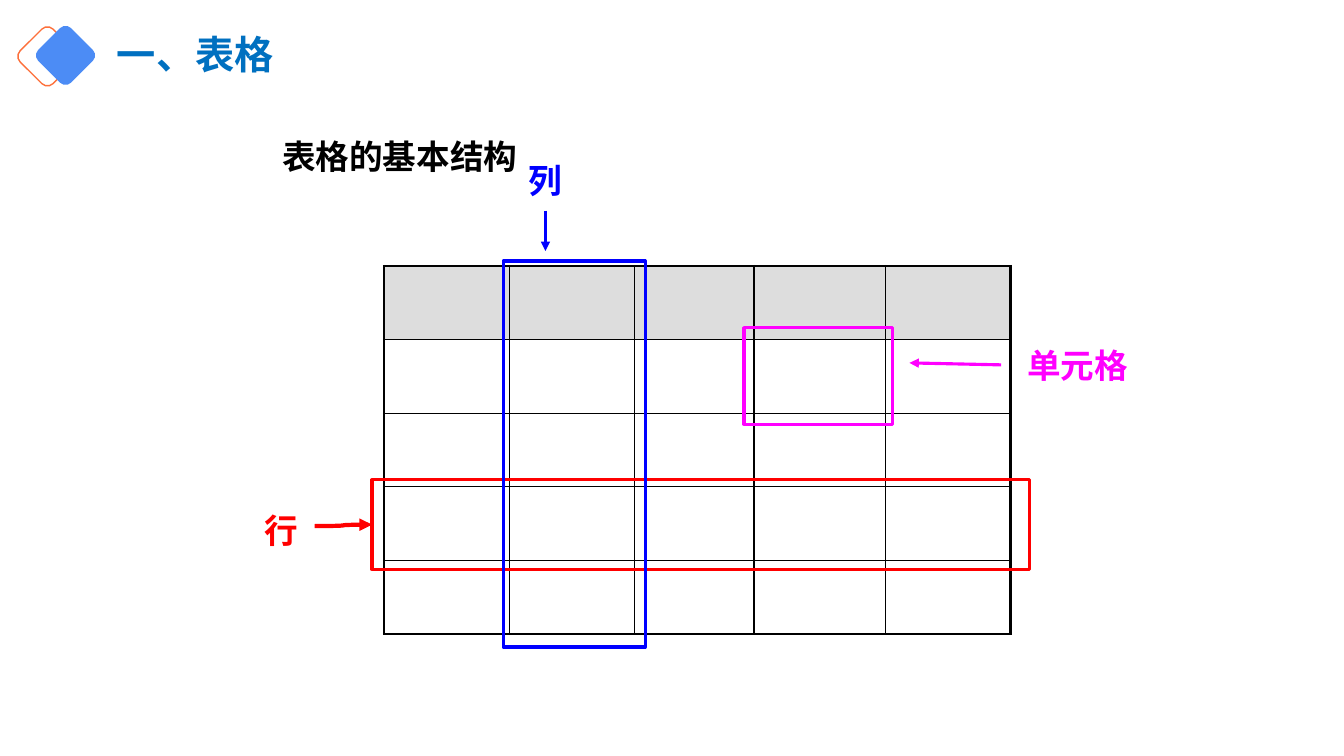
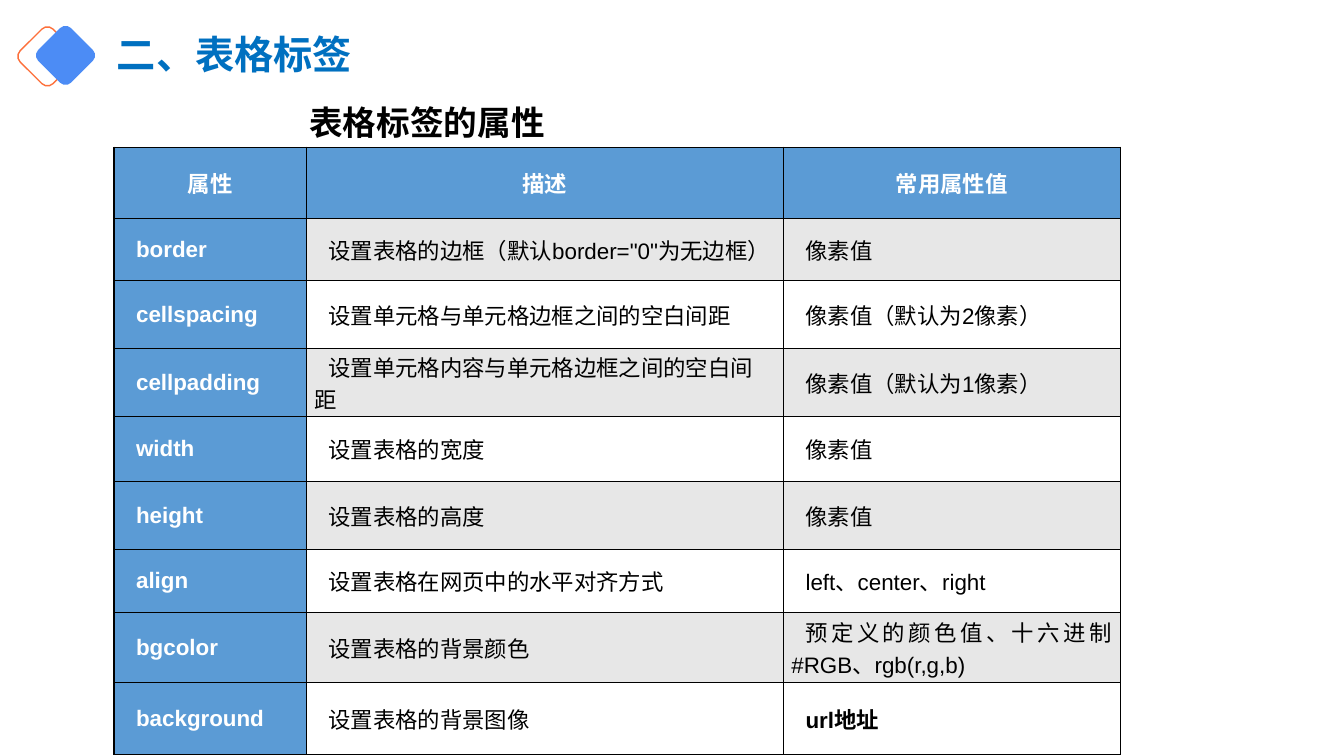
"""Builds two lesson slides about tables and table tags."""
import lxml.etree
import pptx
import pptx.dml.color
import pptx.enum.shapes
import pptx.enum.text
import pptx.oxml.ns
import pptx.util

PX = 9144
COLORS = {
    "title": "0070C0", "orange": "FD703B", "badge": "4C8CF5", "black": "000000",
    "white": "FFFFFF", "row": "FF0000", "column": "0000FF", "cell": "FF00FF",
    "gray": "DDDDDD", "header": "5B9BD5", "band": "E7E7E7",
}
CJK = "Noto Sans CJK SC"
ALIGN = pptx.enum.text.PP_ALIGN
ANCHOR = pptx.enum.text.MSO_ANCHOR
FIT = pptx.enum.text.MSO_AUTO_SIZE
SHAPE = pptx.enum.shapes.MSO_SHAPE
LINK = pptx.enum.shapes.MSO_CONNECTOR


def px(*lengths):
    return [pptx.util.Emu(length * PX) for length in lengths]


def rgb(color):
    return pptx.dml.color.RGBColor.from_string(COLORS[color])


def assign(target, values):
    for name, value in values.items():
        setattr(target, name, value)


def child(parent, tag, **attributes):
    return lxml.etree.SubElement(parent, pptx.oxml.ns.qn(tag), **attributes)


class Slides:
    """Holds the shared style and the current page, and draws elements on it."""

    def __init__(self):
        self.deck = pptx.Presentation()
        assign(self.deck, dict(zip(("slide_width", "slide_height"), px(1333, 750))))
        self.page = None

    def new_page(self, title):
        self.page = self.deck.slides.add_slide(self.deck.slide_layouts[5])
        for left, top, fill, line in ((24, 33, None, "orange"), (42, 32, "badge", None)):
            badge = self.shape(SHAPE.ROUNDED_RECTANGLE, (left, top, 46, 46), fill, line, 1)
            badge.rotation = 45
        box = self.page.shapes.title
        assign(box, dict(zip(("left", "top", "width", "height"), px(106, 17, 513, 79))))
        assign(box.text_frame, {"vertical_anchor": ANCHOR.MIDDLE, "auto_size": FIT.NONE,
                                "word_wrap": True})
        para = box.text_frame.paragraphs[0]
        assign(para, {"alignment": ALIGN.LEFT, "line_spacing": 0.9})
        self.span(para, title, "title", 28)

    def span(self, para, text, color, size, font=CJK, bold=True):
        span = para.add_run()
        span.text = text
        assign(span.font, {"name": font, "size": pptx.util.Pt(size), "bold": bold})
        span.font.color.rgb = rgb(color)
        child(span.font._element, "a:ea", typeface=CJK)

    def shape(self, kind, place, fill=None, line=None, width=2.25):
        shape = self.page.shapes.add_shape(kind, *px(*place))
        shape.shadow.inherit = False
        for target, color in ((shape.fill, fill), (shape.line.fill, line)):
            if color:
                target.solid()
                target.fore_color.rgb = rgb(color)
            else:
                target.background()
        if line:
            shape.line.width = pptx.util.Pt(width)
        return shape

    def text(self, text, place, color="black", font=CJK, wrap=False, align=ALIGN.LEFT):
        box = self.page.shapes.add_textbox(*px(*place))
        assign(box.text_frame, {"word_wrap": wrap, "auto_size": FIT.SHAPE_TO_FIT_TEXT})
        para = box.text_frame.paragraphs[0]
        para.alignment = align
        self.span(para, text, color, 24, font)

    def label(self, text, place, color):
        self.text(text, place, color, "Courier New", True, ALIGN.CENTER)

    def arrow(self, ends, color, width=2.25, kind=LINK.STRAIGHT):
        arrow = self.page.shapes.add_connector(kind, *px(*ends))
        arrow.line.color.rgb = rgb(color)
        arrow.line.width = pptx.util.Pt(width)
        child(arrow.line._get_or_add_ln(), "a:tailEnd", type="triangle")
        child(arrow._element.spPr, "a:effectLst")
        return arrow

    def table(self, left, top, widths, heights):
        place = px(left, top, sum(widths), sum(heights))
        table = self.page.shapes.add_table(len(heights), len(widths), *place).table
        assign(table, {"first_row": False, "horz_banding": False})
        for column, width in zip(table.columns, px(*widths)):
            column.width = width
        for row, height in zip(table.rows, px(*heights)):
            row.height = height
        return table

    def cell(self, cell, fill=None, borders=(1, 1, 1, 1)):
        properties = cell._tc.get_or_add_tcPr()
        for side, width in zip("LRTB", borders):
            line = child(properties, f"a:ln{side}", w=str(pptx.util.Pt(width)))
            child(child(line, "a:solidFill"), "a:srgbClr", val=COLORS["black"])
        if fill:
            cell.fill.solid()
            cell.fill.fore_color.rgb = rgb(fill)
        else:
            cell.fill.background()

    def cell_text(self, cell, text, color, bold, align, indent):
        margins = zip(("margin_left", "margin_right", "margin_top", "margin_bottom"),
                      px(8, 8, 0, 0))
        assign(cell, {"vertical_anchor": ANCHOR.MIDDLE, **dict(margins)})
        para = cell.text_frame.paragraphs[0]
        para.alignment = align
        para._p.get_or_add_pPr().set("indent", str(indent * PX))
        self.span(para, text, color, 16, "Arial", bold)


def structure_page(slides):
    slides.new_page("一、表格")
    slides.text("表格的基本结构", (270, 130, 253, 50))
    widths, heights = (124, 124, 119, 130, 124), (73,) * 5
    table = slides.table(381, 264, widths, heights)
    for row in range(5):
        for column in range(5):
            outer = (column == 0, column == 4, row == 0, row == 4)
            borders = [2.25 if edge else 1 for edge in outer]
            slides.cell(table.cell(row, column), None if row else "gray", borders)
    row_frame = slides.shape(SHAPE.RECTANGLE, (369, 476, 652, 89), line="row")
    slides.label("行", (220, 501, 118, 50), "row")
    slides.shape(SHAPE.RECTANGLE, (499, 259, 141, 383), line="column")
    slides.label("列", (470, 154, 142, 50), "column")
    slides.shape(SHAPE.RECTANGLE, (738, 325, 147, 96), line="cell")
    slides.label("单元格", (984, 337, 170, 50), "cell")
    slides.arrow((993, 362, 902, 360), "cell")
    row_arrow = slides.arrow((312, 522, 369, 520), "row", 3, LINK.CURVE)
    row_arrow.end_connect(row_frame, 1)
    slides.arrow((541, 209, 541, 249), "column")


def attributes_page(slides):
    slides.new_page("二、表格标签")
    slides.text("表格标签的属性", (297, 96, 253, 50))
    rows = (
        ("属性", "描述", "常用属性值"),
        ("border", "设置表格的边框（默认border=\"0\"为无边框）", "像素值"),
        ("cellspacing", "设置单元格与单元格边框之间的空白间距", "像素值（默认为2像素）"),
        ("cellpadding", "设置单元格内容与单元格边框之间的空白间距", "像素值（默认为1像素）"),
        ("width", "设置表格的宽度", "像素值"),
        ("height", "设置表格的高度", "像素值"),
        ("align", "设置表格在网页中的水平对齐方式", "left、center、right"),
        ("bgcolor", "设置表格的背景颜色", "预定义的颜色值、十六进制#RGB、rgb(r,g,b)"),
        ("background", "设置表格的背景图像", "url地址"),
    )
    heights = (71, 61, 68, 67, 65, 67, 63, 69, 72)
    table = slides.table(113, 146, (191, 473, 334), heights)
    for row, texts in enumerate(rows):
        for column, text in enumerate(texts):
            cell = table.cell(row, column)
            heading = row == 0 or column == 0
            band = "band" if row % 2 else "white"
            slides.cell(cell, "header" if heading else band)
            align = ALIGN.JUSTIFY if column == 2 else ALIGN.LEFT
            slides.cell_text(cell, text, "white" if heading else "black",
                             heading or text == "url地址",
                             align if row else ALIGN.CENTER, 14 if row else 0)


def main():
    slides = Slides()
    structure_page(slides)
    attributes_page(slides)
    slides.deck.save("out.pptx")


if __name__ == "__main__":
    main()
